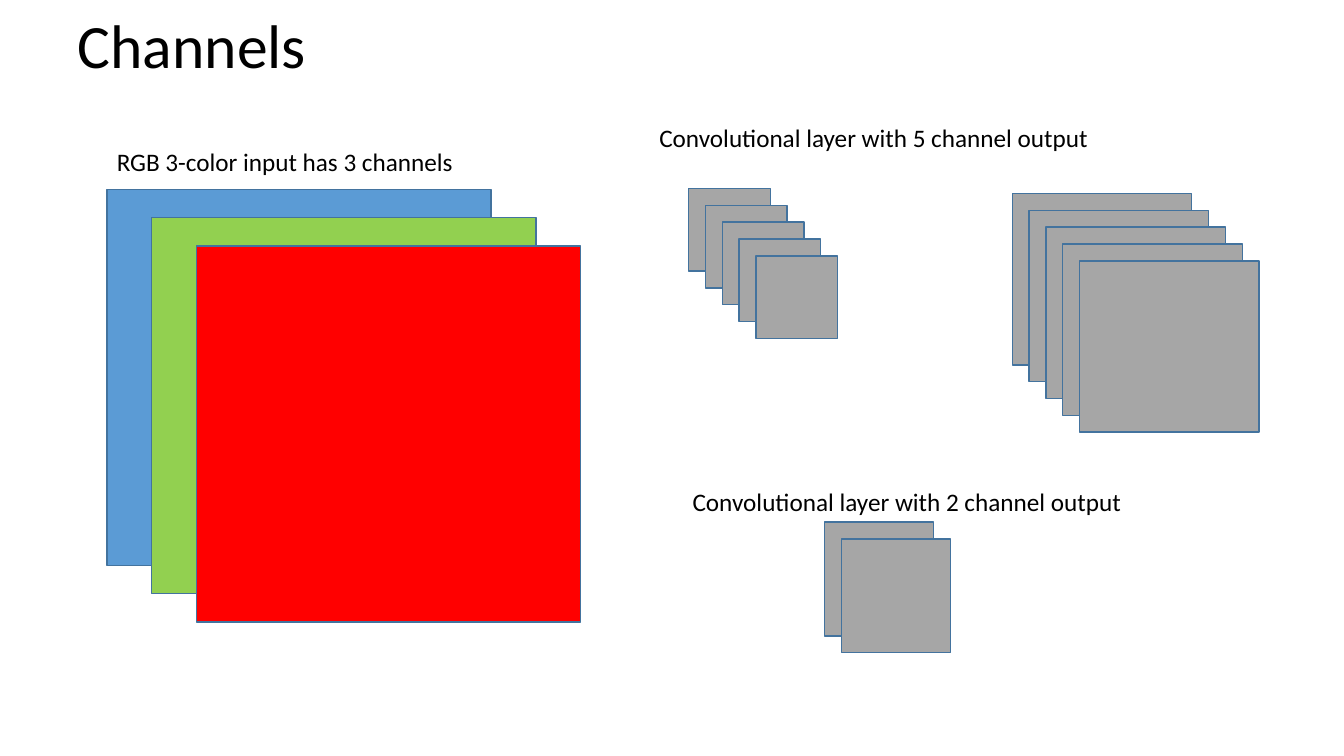
from pptx import Presentation
from pptx.dml.color import RGBColor
from pptx.enum.shapes import MSO_SHAPE
from pptx.enum.text import MSO_ANCHOR, MSO_AUTO_SIZE, PP_ALIGN
from pptx.util import Inches, Pt


def color(value):
    return RGBColor.from_string(value)


def format_text(paragraph, size):
    paragraph.alignment = PP_ALIGN.LEFT
    paragraph.font.color.rgb = color("000000")
    for name, value in {"name": "Calibri", "size": Pt(size), "bold": False}.items():
        setattr(paragraph.font, name, value)


presentation = Presentation()
presentation.slide_width = Inches(13.33)
presentation.slide_height = Inches(7.5)
slide = presentation.slides.add_slide(presentation.slide_layouts[5])

# Title
title = slide.shapes.title
title_box = {"left": 0.67, "top": -0.06, "width": 12, "height": 1.08}
for name, value in title_box.items():
    setattr(title, name, Inches(value))
title.text_frame.text = "Channels"
title.text_frame.vertical_anchor = MSO_ANCHOR.MIDDLE
title.text_frame.auto_size = MSO_AUTO_SIZE.NONE
title_paragraph = title.text_frame.paragraphs[0]
title_paragraph.line_spacing = 0.9
format_text(title_paragraph, 44)

# Channel stacks: left, top, width, height, step right, step down, fills
GRAY = "A6A6A6"
input_stack = (1.06, 1.88, 3.81, 3.73, 0.445, 0.28, ["5B9BD5", "92D050", "FF0000"])
large_stack = (10.04, 1.92, 1.78, 1.7, 0.167, 0.167, [GRAY] * 5)
two_channel_stack = (8.18, 5.18, 1.08, 1.13, 0.167, 0.167, [GRAY] * 2)
small_stack = (6.83, 1.87, 0.81, 0.82, 0.167, 0.167, [GRAY] * 5)

small_group = slide.shapes.add_group_shape()
for shapes, stack in [
    (slide.shapes, input_stack),
    (slide.shapes, large_stack),
    (slide.shapes, two_channel_stack),
    (small_group.shapes, small_stack),
]:
    left, top, width, height, step_right, step_down, fills = stack
    for index, fill in enumerate(fills):
        channel = shapes.add_shape(
            MSO_SHAPE.RECTANGLE,
            Inches(left + index * step_right),
            Inches(top + index * step_down),
            Inches(width),
            Inches(height),
        )
        channel.shadow.inherit = False
        channel.fill.solid()
        channel.fill.fore_color.rgb = color(fill)
        channel.line.color.rgb = color("43739E")
        channel.line.width = Pt(1)

# Captions
for left, top, width, text in [
    (1.06, 1.4, 3.58, "RGB 3-color input has 3 channels"),
    (6.77, 4.78, 4.51, "Convolutional layer with 2 channel output"),
    (6.44, 1.16, 4.51, "Convolutional layer with 5 channel output"),
]:
    caption = slide.shapes.add_textbox(
        Inches(left), Inches(top), Inches(width), Inches(0.4)
    )
    caption.text_frame.text = text
    caption.text_frame.word_wrap = False
    caption.text_frame.auto_size = MSO_AUTO_SIZE.SHAPE_TO_FIT_TEXT
    format_text(caption.text_frame.paragraphs[0], 18)

presentation.save("out.pptx")
